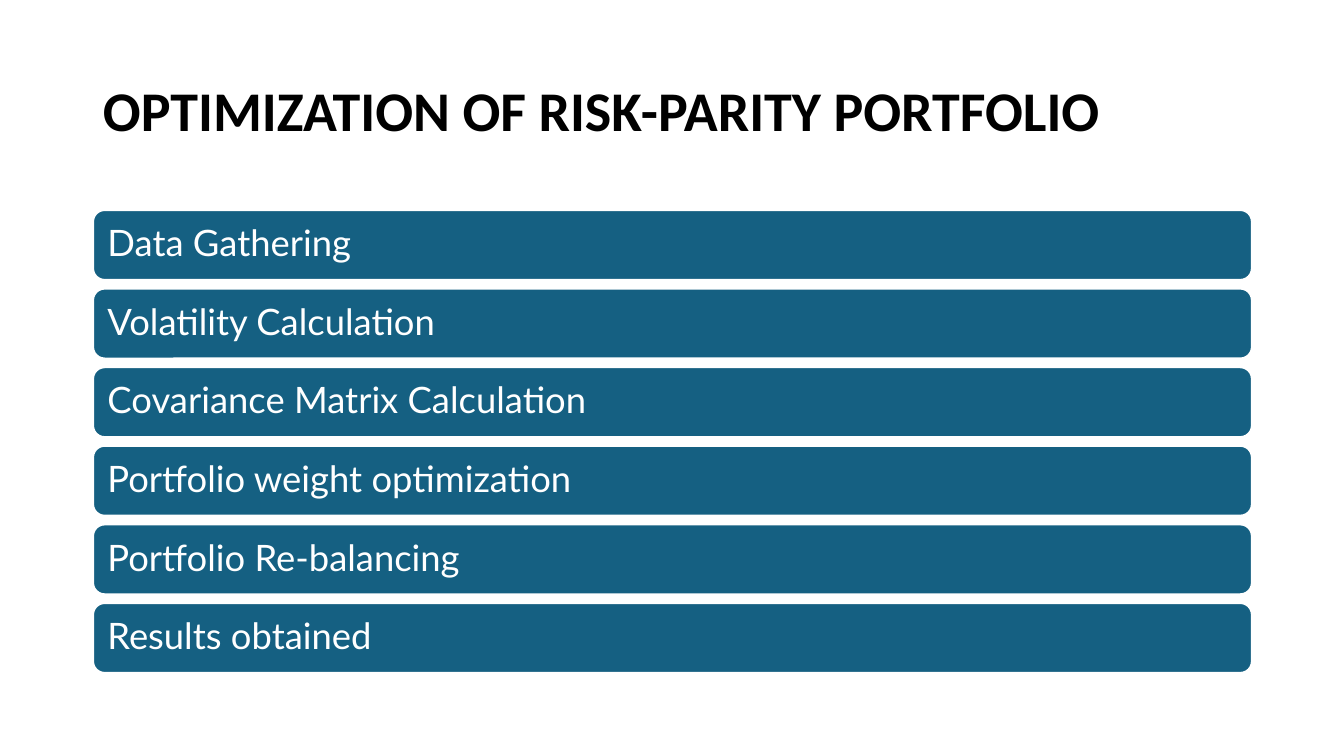
import pptx
import pptx.util
import pptx.dml.color
import pptx.enum.shapes
import pptx.enum.text

PX = 9144000 / 1008  # EMU in one px
BLACK = pptx.dml.color.RGBColor(0x00, 0x00, 0x00)
WHITE = pptx.dml.color.RGBColor(0xFF, 0xFF, 0xFF)
TEAL = pptx.dml.color.RGBColor(0x15, 0x60, 0x82)
LEFT, WIDTH = 93, 1159


def px(*sizes):
    return [pptx.util.Emu(round(size * PX)) for size in sizes]


def write(shape, text, inset, look):
    frame = shape.text_frame
    frame.word_wrap = True
    frame.vertical_anchor = pptx.enum.text.MSO_ANCHOR.MIDDLE
    for side in ("left", "top", "right", "bottom"):
        setattr(frame, "margin_" + side, px(inset)[0])
    line = frame.paragraphs[0]
    line.alignment = pptx.enum.text.PP_ALIGN.LEFT
    line.line_spacing = 0.9
    run = line.add_run()
    run.text = text
    run.font.color.rgb = look["color"]
    for name in ("name", "size", "bold"):
        setattr(run.font, name, look[name])


deck = pptx.Presentation()
deck.slide_width, deck.slide_height = px(1344, 756)
slide = deck.slides.add_slide(deck.slide_layouts[6])

# Title
head = {"name": "Calibri", "size": pptx.util.Pt(40), "bold": True, "color": BLACK}
title = slide.shapes.add_textbox(*px(LEFT, 40, WIDTH, 146))
write(title, "OPTIMIZATION OF RISK-PARITY PORTFOLIO", 10, head)

# Stacked bars, one for each step
body = {"name": "Lato", "size": pptx.util.Pt(26), "bold": False, "color": WHITE}
steps = [
    "Data Gathering",
    "Volatility Calculation",
    "Covariance Matrix Calculation",
    "Portfolio weight optimization",
    "Portfolio Re-balancing",
    "Results obtained",
]
FIRST, LAST = 210, 603
pitch = (LAST - FIRST) / (len(steps) - 1)
for i, step in enumerate(steps):
    bar = slide.shapes.add_shape(
        pptx.enum.shapes.MSO_SHAPE.ROUNDED_RECTANGLE,
        *px(LEFT, FIRST + i * pitch, WIDTH, 70))
    bar.shadow.inherit = False
    bar.fill.solid()
    bar.fill.fore_color.rgb = TEAL
    bar.line.color.rgb = WHITE
    bar.line.width = pptx.util.Pt(1.5)
    write(bar, step, 11, body)

deck.save("out.pptx")
